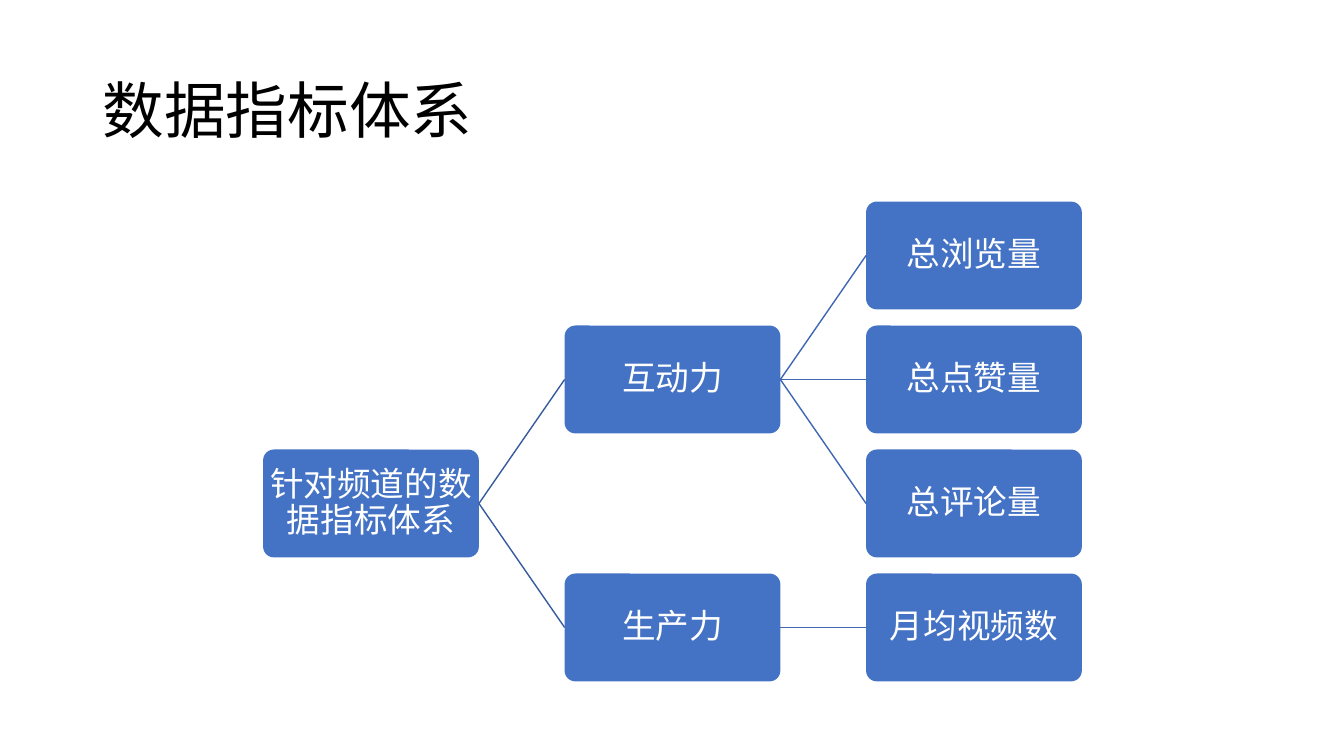
"""Build a slide with a left-to-right tree of channel metrics."""
from dataclasses import dataclass
from typing import Optional

from lxml import etree
from pptx import Presentation, util as u
from pptx.dml.color import RGBColor
from pptx.enum import shapes, text
from pptx.oxml import ns


@dataclass(frozen=True)
class Theme:
    font: str = "Noto Sans CJK SC"
    title_size: int = 44
    node_size: int = 24
    title: str = "000000"
    node_text: str = "FFFFFF"
    node: str = "4472C4"
    links: tuple[str, ...] = ("365B9D", "3E67B2")
    link_width: int = 1


@dataclass(frozen=True)
class Grid:
    left: float = 2.61
    top: float = 2.0
    col_step: float = 2.99
    row_step: float = 1.23
    width: float = 2.14
    height: float = 1.07

    def cell(self, col: int, row: int) -> tuple[int, ...]:
        x = self.left + col * self.col_step
        y = self.top + row * self.row_step
        return tuple(u.Inches(v) for v in (x, y, self.width, self.height))


@dataclass(frozen=True)
class Node:
    label: str
    col: int
    row: int
    parent: Optional[str] = None


THEME = Theme()
GRID = Grid()
ROOT, ENGAGEMENT, OUTPUT = "针对频道的数据指标体系", "互动力", "生产力"
NODES = [
    Node(ROOT, 0, 2),
    Node(ENGAGEMENT, 1, 1, ROOT),
    Node("总浏览量", 2, 0, ENGAGEMENT),
    Node("总点赞量", 2, 1, ENGAGEMENT),
    Node("总评论量", 2, 2, ENGAGEMENT),
    Node(OUTPUT, 1, 3, ROOT),
    Node("月均视频数", 2, 3, OUTPUT),
]


def write(s, content: str, *, size: int, color: str, align=text.PP_ALIGN.LEFT,
          inset_x: float = 0.1, inset_y: float = 0.05) -> None:
    tf = s.text_frame
    tf.word_wrap = True
    tf.auto_size = text.MSO_AUTO_SIZE.NONE
    tf.vertical_anchor = text.MSO_ANCHOR.MIDDLE
    tf.margin_left = tf.margin_right = u.Inches(inset_x)
    tf.margin_top = tf.margin_bottom = u.Inches(inset_y)
    p = tf.paragraphs[0]
    p.alignment = align
    p.line_spacing = 0.9
    r = p.add_run()
    r.text = content
    r.font.size = u.Pt(size)
    r.font.color.rgb = RGBColor.from_string(color)
    r.font.name = THEME.font
    ea = etree.SubElement(r._r.get_or_add_rPr(), ns.qn("a:ea"))
    ea.set("typeface", THEME.font)


def add_title(sp, content: str) -> None:
    s = sp.add_textbox(*(u.Inches(v) for v in (0.92, 0.4, 11.5, 1.45)))
    write(s, content, size=THEME.title_size, color=THEME.title)


def add_node(sp, node: Node):
    s = sp.add_shape(shapes.MSO_SHAPE.ROUNDED_RECTANGLE,
                     *GRID.cell(node.col, node.row))
    s.adjustments[0] = 0.1
    s.shadow.inherit = False
    s.fill.solid()
    s.fill.fore_color.rgb = RGBColor.from_string(THEME.node)
    s.line.fill.background()
    write(s, node.label, size=THEME.node_size, color=THEME.node_text,
          align=text.PP_ALIGN.CENTER, inset_x=0.01, inset_y=0.02)
    return s


def add_link(sp, parent, child, color: str) -> None:
    s = sp.add_connector(shapes.MSO_CONNECTOR.STRAIGHT, 0, 0, 0, 0)
    s.begin_connect(parent, 3)
    s.end_connect(child, 1)
    s.line.color.rgb = RGBColor.from_string(color)
    s.line.width = u.Pt(THEME.link_width)
    etree.SubElement(s._element.spPr, ns.qn("a:effectLst"))


def main() -> None:
    prs = Presentation()
    prs.slide_width, prs.slide_height = u.Inches(13.33), u.Inches(7.5)
    sp = prs.slides.add_slide(prs.slide_layouts[6]).shapes
    add_title(sp, "数据指标体系")
    boxes = {}
    for node in NODES:
        boxes[node.label] = add_node(sp, node)
        if node.parent:
            add_link(sp, boxes[node.parent], boxes[node.label],
                     THEME.links[node.col - 1])
    prs.save("out.pptx")


if __name__ == "__main__":
    main()
